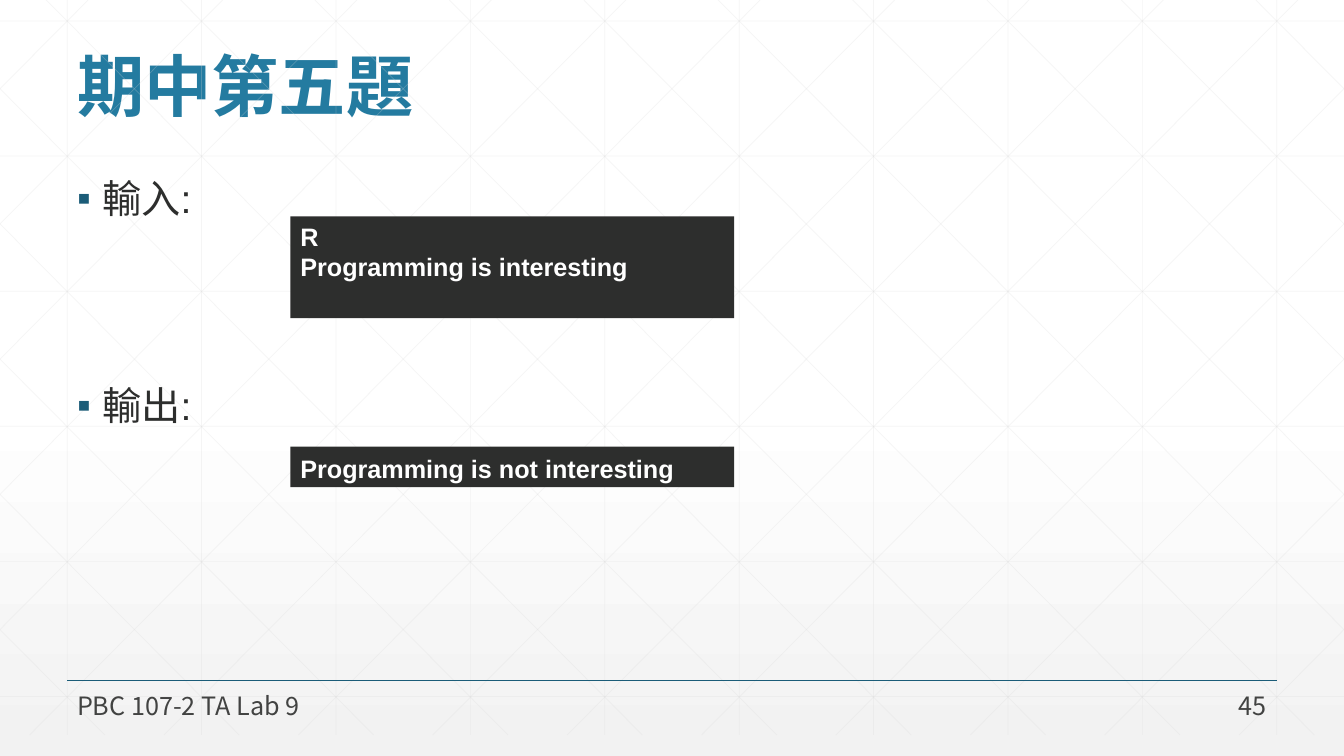
from lxml.etree import SubElement
from pptx import Presentation
from pptx.dml.color import RGBColor
from pptx.enum.shapes import MSO_CONNECTOR as Connector, MSO_SHAPE as Shape
from pptx.enum.text import MSO_ANCHOR as Anchor, PP_ALIGN as Align
from pptx.oxml.ns import qn
from pptx.util import Pt

COLORS = {"title": "247BA0", "accent": "1B5C78", "dark": "2D2E2D", "white": "FFFFFF",
          "footer": "424342", "grid": "D9D9D9", "shade": "F2F2F2"}
WIDTH, HEIGHT = 960, 540
CJK = "Noto Sans CJK TC"


def rgb(name):
    """Return the named colour."""
    return RGBColor.from_string(COLORS[name])


def add_line(slide, x1, y1, x2, y2, color, width, opacity=100):
    """Draw a straight line without a shadow."""
    line = slide.shapes.add_connector(Connector.STRAIGHT, Pt(x1), Pt(y1), Pt(x2), Pt(y2))
    line.line.color.rgb = rgb(color)
    line.line.width = Pt(width)
    properties = line._element.spPr
    if opacity < 100:
        color_node = properties.find(".//" + qn("a:srgbClr"))
        SubElement(color_node, qn("a:alpha"), val=str(opacity * 1000))
    SubElement(properties, qn("a:effectLst"))


def add_grid(slide):
    """Draw the faint background grid with its mirrored diagonals."""
    bottom, step, slope = 525, 96, 1.006
    style = ("grid", 0.5, 25)
    for column in range(10):
        x = 48 + step * column
        add_line(slide, x, 0, x, bottom, *style)
    for row in range(6):
        y = 15 + 96.5 * row
        add_line(slide, 0, y, WIDTH, y, *style)
    for index in range(-5, 10):
        origin = 33 + step * index
        y1 = max(0, -origin * slope)
        y2 = min(bottom, (WIDTH - origin) * slope)
        x1, x2 = origin + y1 / slope, origin + y2 / slope
        add_line(slide, x1, y1, x2, y2, *style)
        add_line(slide, WIDTH - x1, y1, WIDTH - x2, y2, *style)


def write(shape, text, size, color, font="Arial", bold=False, align=Align.LEFT,
          anchor=Anchor.TOP, line_spacing=None, gap=0, bullet=None):
    """Fill a shape with one formatted paragraph per line of text."""
    frame = shape.text_frame
    frame.word_wrap = True
    frame.vertical_anchor = anchor
    frame.text = text
    for index, paragraph in enumerate(frame.paragraphs):
        paragraph.alignment = align
        paragraph.line_spacing = line_spacing
        paragraph.space_before = Pt(gap if index else 0)
        run = paragraph.runs[0]
        run.font.size = Pt(size)
        run.font.bold = bold
        run.font.name = font
        run.font.color.rgb = rgb(color)
        SubElement(run.font._element, qn("a:ea"), typeface=CJK)
        if bullet:
            add_bullet(paragraph, bullet)


def add_bullet(paragraph, character):
    """Give a paragraph a coloured bullet and a hanging indent."""
    properties = paragraph._p.get_or_add_pPr()
    properties.set("marL", str(Pt(18)))
    properties.set("indent", str(-Pt(18)))
    bullet_color = SubElement(properties, qn("a:buClr"))
    SubElement(bullet_color, qn("a:srgbClr"), val=COLORS["accent"])
    SubElement(properties, qn("a:buFont"), typeface="Arial")
    SubElement(properties, qn("a:buChar"), char=character)


def add_text(slide, left, top, width, height, text, **style):
    """Add a text box."""
    box = slide.shapes.add_textbox(Pt(left), Pt(top), Pt(width), Pt(height))
    write(box, text, **style)


def add_console(slide, top, height, text, **style):
    """Add a dark box that shows program input or output."""
    box = slide.shapes.add_shape(Shape.RECTANGLE, Pt(207.4), Pt(top), Pt(317), Pt(height))
    box.shadow.inherit = False
    box.fill.solid()
    box.fill.fore_color.rgb = rgb("dark")
    box.line.fill.background()
    write(box, text, size=18, color="white", bold=True, **style)


def set_background(slide):
    """Shade the slide from white to light grey at the bottom."""
    fill = slide.background.fill
    fill.gradient()
    fill.gradient_angle = 270
    for stop, position, color in zip(fill.gradient_stops, (0.53, 1), ("white", "shade")):
        stop.position = position
        stop.color.rgb = rgb(color)


def set_title(slide, text):
    """Place and format the title."""
    title = slide.shapes.title
    title.left, title.top, title.width, title.height = Pt(48), Pt(16), Pt(864), Pt(78)
    write(title, text, size=48, color="title", font=CJK, bold=True,
          anchor=Anchor.BOTTOM, line_spacing=0.9)


def main():
    """Build the slide and save it."""
    presentation = Presentation()
    presentation.slide_width, presentation.slide_height = Pt(WIDTH), Pt(HEIGHT)
    slide = presentation.slides.add_slide(presentation.slide_layouts[5])
    set_background(slide)
    add_grid(slide)
    add_line(slide, 48, 486, 912, 486, "accent", 1)
    set_title(slide, "期中第五題")
    add_text(slide, 48, 121, 864, 354, "輸入:\n輸出:", size=28, color="dark",
             gap=114, bullet="▪")
    add_console(slide, 154.6, 72.7, "R\nProgramming is interesting")
    add_console(slide, 319, 29, "Programming is not interesting", line_spacing=1.07)
    footer = {"size": 18, "color": "footer", "font": CJK, "anchor": Anchor.MIDDLE}
    add_text(slide, 48, 495.4, 482, 17.3, "PBC 107-2 TA Lab 9", **footer)
    add_text(slide, 839.5, 495.4, 72, 17.3, "45", align=Align.RIGHT, **footer)
    presentation.save("out.pptx")


if __name__ == "__main__":
    main()
